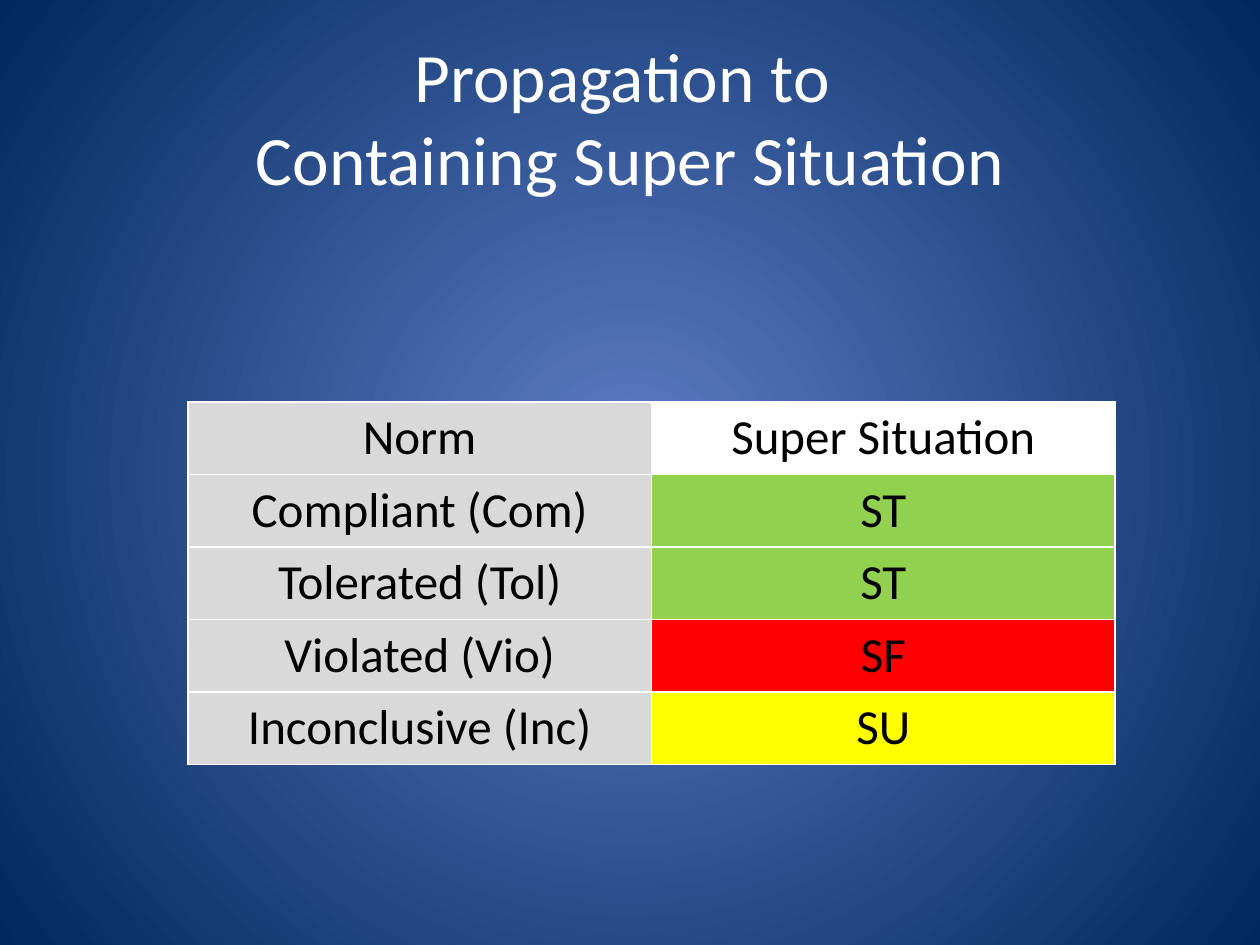
from dataclasses import dataclass

from lxml.etree import SubElement
from pptx import Presentation
from pptx.dml.color import RGBColor
from pptx.enum.text import MSO_ANCHOR, MSO_AUTO_SIZE, PP_ALIGN
from pptx.oxml import parse_xml
from pptx.oxml.ns import nsdecls, qn
from pptx.slide import Slide
from pptx.table import _Cell
from pptx.text.text import TextFrame
from pptx.util import Inches, Pt


@dataclass(frozen=True)
class Theme:
    font: str = "Calibri"
    title_size: float = 39.6
    cell_size: float = 28
    border_width: float = 1
    center: str = "5E7CC5"
    edge: str = "00295C"
    light: str = "FFFFFF"
    dark: str = "000000"
    norm: str = "D9D9D9"
    satisfied: str = "92D050"
    failed: str = "FF0000"
    undecided: str = "FFFF00"


@dataclass(frozen=True)
class NormRow:
    norm: str
    situation: str
    color: str


THEME = Theme()
ROWS = [
    NormRow("Norm", "Super Situation", THEME.light),
    NormRow("Compliant (Com)", "ST", THEME.satisfied),
    NormRow("Tolerated (Tol)", "ST", THEME.satisfied),
    NormRow("Violated (Vio)", "SF", THEME.failed),
    NormRow("Inconclusive (Inc)", "SU", THEME.undecided),
]
COLUMN_WIDTH = Inches(3.68)
ROW_HEIGHT = Inches(0.575)


def write_text(frame: TextFrame, text: str, size: float, color: str) -> None:
    frame.text = text
    paragraph = frame.paragraphs[0]
    paragraph.alignment = PP_ALIGN.CENTER
    paragraph.font.name = THEME.font
    paragraph.font.size = Pt(size)
    paragraph.font.bold = False
    paragraph.font.color.rgb = RGBColor.from_string(color)


def paint_background(slide: Slide) -> None:
    fill = slide.background.fill
    fill.gradient()
    for stop, position, color in zip(fill.gradient_stops, (0, 1), (THEME.center, THEME.edge)):
        stop.position = position
        stop.color.rgb = RGBColor.from_string(color)
    # Turn the linear gradient into a circle around the slide's center
    gradient = slide.element.xpath(".//p:bg//a:gradFill")[0]
    gradient.replace(gradient.find(qn("a:lin")), parse_xml(
        f'<a:path {nsdecls("a")} path="circle">'
        '<a:fillToRect l="50000" t="50000" r="50000" b="50000"/></a:path>'))


def add_borders(cell: _Cell) -> None:
    properties = cell._tc.get_or_add_tcPr()
    for index, side in enumerate(("lnL", "lnR", "lnT", "lnB")):
        line = SubElement(properties, qn(f"a:{side}"), w=str(Pt(THEME.border_width)))
        SubElement(SubElement(line, qn("a:solidFill")), qn("a:srgbClr"), val=THEME.light)
        properties.insert(index, line)


def fill_cell(cell: _Cell, text: str, color: str) -> None:
    write_text(cell.text_frame, text, THEME.cell_size, THEME.dark)
    cell.fill.solid()
    cell.fill.fore_color.rgb = RGBColor.from_string(color)
    add_borders(cell)


def add_norm_table(slide: Slide) -> None:
    table = slide.shapes.add_table(
        len(ROWS), 2, Inches(1.49), Inches(3.19),
        2 * COLUMN_WIDTH, len(ROWS) * ROW_HEIGHT).table
    for column in table.columns:
        column.width = COLUMN_WIDTH
    for index, row in enumerate(ROWS):
        table.rows[index].height = ROW_HEIGHT
        fill_cell(table.cell(index, 0), row.norm, THEME.norm)
        fill_cell(table.cell(index, 1), row.situation, row.color)


def main() -> None:
    presentation = Presentation()
    presentation.slide_width, presentation.slide_height = Inches(10), Inches(7.5)
    slide = presentation.slides.add_slide(presentation.slide_layouts[5])
    paint_background(slide)

    # Title
    title = slide.shapes.title
    title.left, title.top = Inches(0.5), Inches(0.3)
    title.width, title.height = Inches(9), Inches(1.25)
    write_text(title.text_frame, "Propagation to \vContaining Super Situation",
               THEME.title_size, THEME.light)
    title.text_frame.vertical_anchor = MSO_ANCHOR.MIDDLE
    title.text_frame.auto_size = MSO_AUTO_SIZE.NONE

    # Norm results and the super situation they lead to
    add_norm_table(slide)
    presentation.save("out.pptx")


if __name__ == "__main__":
    main()
